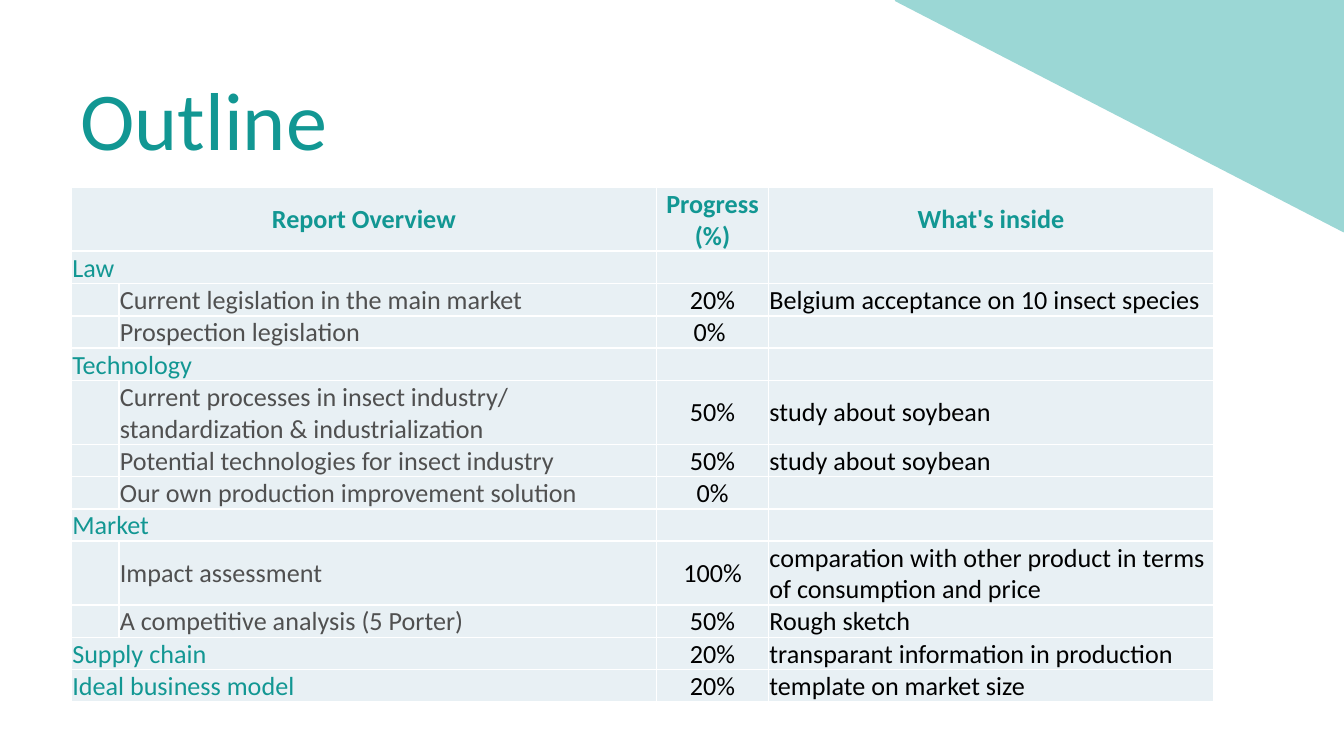
"""Build the report outline slide with its progress table."""
import dataclasses
import itertools

import lxml.etree
import pptx
import pptx.dml.color
import pptx.enum.shapes
import pptx.enum.text
import pptx.oxml.ns
import pptx.util

PX = 9525
FONT = "Calibri"
TEAL = pptx.dml.color.RGBColor(0x12, 0x97, 0x93)
AQUA = pptx.dml.color.RGBColor(0x9B, 0xD7, 0xD5)
PALE = pptx.dml.color.RGBColor(0xE8, 0xF0, 0xF4)
GREY = pptx.dml.color.RGBColor(0x50, 0x50, 0x50)
BLACK = pptx.dml.color.RGBColor(0, 0, 0)
WHITE = pptx.dml.color.RGBColor(255, 255, 255)
LEFT = pptx.enum.text.PP_ALIGN.LEFT
CENTER = pptx.enum.text.PP_ALIGN.CENTER
MIDDLE = pptx.enum.text.MSO_ANCHOR.MIDDLE
WIDTHS = (34, 384, 80, 318)
HIGH = 366
SHORT, TALL = 12, 23
INSET = pptx.util.Pt(0.5)
SIZE = 14


@dataclasses.dataclass
class Row:
    """One line of the outline."""
    name: str
    done: str = ""
    note: str = ""
    sub: bool = False
    head: bool = False
    high: int = SHORT


ROWS = (
    Row("Report Overview", "Progress (%)", "What's inside", head=True, high=TALL),
    Row("Law"),
    Row("Current legislation in the main market", "20%",
        "Belgium acceptance on 10 insect species", sub=True, high=TALL),
    Row("Prospection legislation", "0% ", sub=True),
    Row("Technology"),
    Row("Current processes in insect industry/ standardization & industrialization",
        "50%", "study about soybean", sub=True, high=TALL),
    Row("Potential technologies for insect industry", "50%",
        "study about soybean", sub=True),
    Row("Our own production improvement solution", "0%", sub=True),
    Row("Market"),
    Row("Impact assessment", "100%",
        "comparation with other product in terms of consumption and price",
        sub=True, high=TALL),
    Row("A competitive analysis (5 Porter)", "50%", "Rough sketch", sub=True),
    Row("Supply chain", "20%", "transparant information in production", high=TALL),
    Row("Ideal business model", "20%", "template on market size"),
)


def px(count: int) -> pptx.util.Emu:
    """Turn px into EMU."""
    return pptx.util.Emu(count * PX)


def write(par, text: str, size: int, color, bold: bool = False) -> None:
    """Add one run to a paragraph."""
    run = par.add_run()
    run.text = text
    run.font.name = FONT
    run.font.size = pptx.util.Pt(size)
    run.font.bold = bold
    run.font.color.rgb = color


def edge(cell) -> None:
    """Give a cell thin white borders."""
    props = cell._tc.get_or_add_tcPr()
    for spot, side in enumerate(("lnL", "lnR", "lnT", "lnB")):
        line = lxml.etree.Element(pptx.oxml.ns.qn(f"a:{side}"), w="12700")
        fill = lxml.etree.SubElement(line, pptx.oxml.ns.qn("a:solidFill"))
        lxml.etree.SubElement(fill, pptx.oxml.ns.qn("a:srgbClr"), val=str(WHITE))
        props.insert(spot, line)


def style(cell) -> None:
    """Set the look that all cells share."""
    cell.margin_left = cell.margin_right = cell.margin_top = INSET
    cell.margin_bottom = px(0)
    cell.vertical_anchor = MIDDLE
    cell.fill.solid()
    cell.fill.fore_color.rgb = PALE
    edge(cell)


def put(cell, text: str, color, align, bold: bool) -> None:
    """Fill a cell with text, or keep an empty one at text size."""
    par = cell.text_frame.paragraphs[0]
    par.alignment = align
    if text:
        write(par, text, SIZE, color, bold)
    else:
        lxml.etree.SubElement(par._p, pptx.oxml.ns.qn("a:endParaRPr"),
                              sz=str(SIZE * 100))


def draw_title(slide) -> None:
    """Draw the slide title."""
    frame = slide.shapes.add_textbox(px(48), px(24), px(864), px(120)).text_frame
    frame.word_wrap = True
    frame.vertical_anchor = MIDDLE
    write(frame.paragraphs[0], "Outline", 44, TEAL)


def draw_corner(slide) -> None:
    """Draw the triangle in the top right corner."""
    shape = slide.shapes.add_shape(
        pptx.enum.shapes.MSO_SHAPE.RIGHT_TRIANGLE, px(640), px(0), px(320), px(165))
    shape.rotation = 180
    shape.shadow.inherit = False
    shape.fill.solid()
    shape.fill.fore_color.rgb = AQUA
    shape.line.color.rgb = AQUA
    shape.line.width = pptx.util.Pt(1.5)


def draw_table(slide) -> None:
    """Draw the outline table."""
    frame = slide.shapes.add_table(
        len(ROWS), len(WIDTHS), px(51), px(134), px(sum(WIDTHS)), px(HIGH))
    table = frame.table
    table.first_row = table.horz_banding = False
    for col, width in zip(table.columns, WIDTHS):
        col.width = px(width)
    for spot, row in enumerate(ROWS):
        table.rows[spot].height = px(row.high)
        cells = [table.cell(spot, col) for col in range(len(WIDTHS))]
        for cell in cells:
            style(cell)
        if not row.sub:
            cells[0].merge(cells[1])
        names = ("", row.name) if row.sub else (row.name, "")
        tint = GREY if row.sub else TEAL
        rest = TEAL if row.head else BLACK
        side = CENTER if row.head else LEFT
        texts = itertools.chain(names, (row.done, row.note))
        looks = ((tint, side), (tint, side), (rest, CENTER), (rest, side))
        for cell, text, (color, align) in zip(cells, texts, looks):
            put(cell, text, color, align, row.head)
    frame.height = px(HIGH)


def main() -> None:
    """Build and save the deck."""
    deck = pptx.Presentation()
    deck.slide_width, deck.slide_height = px(960), px(540)
    slide = deck.slides.add_slide(deck.slide_layouts[6])
    draw_title(slide)
    draw_corner(slide)
    draw_table(slide)
    deck.save("out.pptx")


if __name__ == "__main__":
    main()
